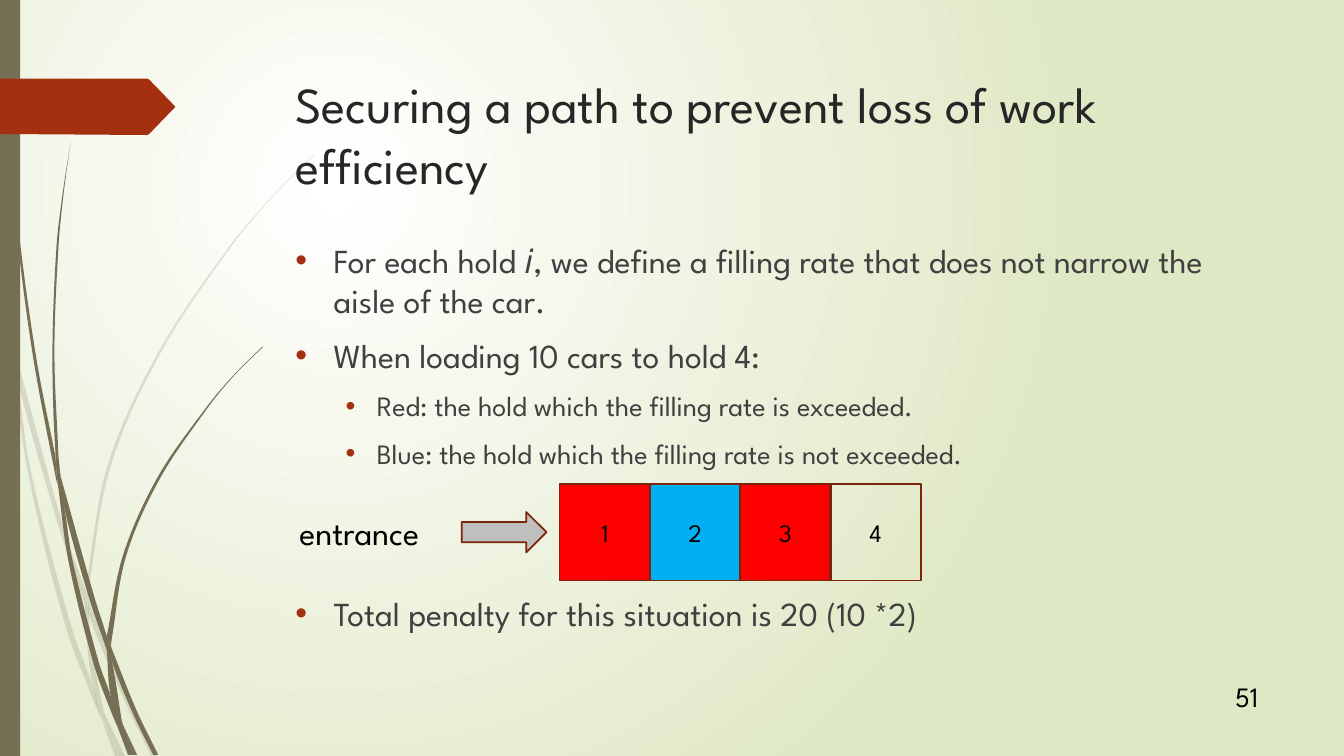
from math import hypot

from pptx import Presentation
from pptx.dml.color import RGBColor
from pptx.enum.shapes import MSO_SHAPE
from pptx.enum.text import MSO_ANCHOR, PP_ALIGN
from pptx.oxml import parse_xml
from pptx.oxml.ns import nsdecls
from pptx.util import Inches, Pt

RECTANGLE, RIGHT_ARROW = MSO_SHAPE.RECTANGLE, MSO_SHAPE.RIGHT_ARROW
TOP, MIDDLE = MSO_ANCHOR.TOP, MSO_ANCHOR.MIDDLE
LEFT, CENTER, RIGHT = PP_ALIGN.LEFT, PP_ALIGN.CENTER, PP_ALIGN.RIGHT

FONT = "League Spartan"
OLIVE, RUST, OUTLINE = "766F54", "A53010", "7A240C"
BLACK, TITLE_GREY, BODY_GREY = "000000", "262626", "404040"

# Each piece of grass has one edge running down and one running back up.
PALE_GRASS = [
    ([(0, 2.82), (0.09, 3.22), (0.11, 3.5)], [(0.1, 3.44), (0, 2.99)]),
    ([(0.14, 3.45), (0.17, 3.76), (0.58, 5.22), (0.84, 5.99)], [(0.85, 5.86), (0.62, 5.2), (0.14, 3.45)]),
    ([(0.88, 5.96), (0.88, 6.1), (1.23, 6.94), (1.5, 7.5)], [(1.55, 7.5), (1.27, 6.92), (0.92, 6.07), (0.88, 5.96)]),
    ([(1.05, 7.11), (1.19, 7.5)], [(1.24, 7.5), (1.05, 7.11)]),
    ([(0.11, 3.5), (0.28, 4.7), (0.65, 6.21), (0.92, 6.93), (1.01, 7.14)],
     [(0.99, 7.07), (0.93, 6.83), (0.7, 6.19), (0.31, 4.69), (0.17, 3.76), (0.11, 3.5)]),
    ([(0.84, 5.99), (0.87, 6.46), (0.93, 6.83), (1.05, 7.11)], [(1.03, 7.06), (0.91, 6.46), (0.88, 6.1), (0.84, 5.99)]),
    ([(3.12, 1.53), (2.89, 1.75), (2.68, 1.97), (2.28, 2.44), (1.58, 3.48), (1.07, 4.61), (0.85, 5.84)],
     [(0.88, 5.96), (0.88, 5.84), (1.1, 4.62), (1.6, 3.49), (2.29, 2.45), (2.68, 1.98), (2.9, 1.75), (3.12, 1.54)]),
    ([(1.01, 7.14), (1.14, 7.5)], [(1.19, 7.5), (1.01, 7.14)]),
    ([(0.85, 5.86), (0.84, 5.99), (0.88, 6.1)], [(0.88, 5.96), (0.85, 5.86)]),
    ([(0.93, 6.83), (0.99, 7.07), (1.19, 7.5)], [(1.05, 7.11), (0.96, 6.92), (0.93, 6.83)]),
]
DARK_GRASS = [
    ([(0.03, 0), (0.07, 1.1), (0.17, 2.33), (0.33, 3.55), (0.56, 4.77), (0.57, 4.81)],
     [(0.55, 4.53), (0.36, 3.55), (0.19, 2.32), (0.08, 1.09), (0.05, 0.48), (0.04, 0)]),
    ([(0.6, 4.72), (0.64, 5.05), (0.88, 5.92), (1.06, 6.45)], [(1.06, 6.31), (0.93, 5.9), (0.6, 4.72)]),
    ([(1.1, 6.41), (1.11, 6.56), (1.32, 7.08), (1.52, 7.49)], [(1.57, 7.49), (1.36, 7.06), (1.13, 6.49), (1.1, 6.41)]),
    ([(0.57, 4.77), (0.68, 5.57), (0.93, 6.59), (1.11, 7.08), (1.17, 7.22)],
     [(1.16, 7.17), (1.1, 6.91), (0.98, 6.57), (0.72, 5.56), (0.64, 5.05), (0.57, 4.77)]),
    ([(0.7, 1.41), (0.62, 1.93), (0.56, 2.45), (0.52, 3.49), (0.55, 4.49), (0.6, 4.72)],
     [(0.58, 4.53), (0.54, 3.49), (0.58, 2.45), (0.63, 1.93), (0.7, 1.41)]),
    ([(1.22, 7.19), (1.33, 7.49)], [(1.36, 7.49), (1.22, 7.19)]),
    ([(0.55, 4.49), (0.57, 4.77), (0.64, 5.05)], [(0.6, 4.72), (0.55, 4.49)]),
    ([(2.6, 3.44), (2.31, 3.73), (2.04, 4.05), (1.56, 4.74), (1.22, 5.51), (1.06, 6.31)],
     [(1.1, 6.41), (1.11, 6.33), (1.25, 5.52), (1.58, 4.76), (2.05, 4.06), (2.31, 3.74), (2.61, 3.44)]),
    ([(1.17, 7.22), (1.27, 7.49)], [(1.31, 7.49), (1.17, 7.22)]),
    ([(1.06, 6.45), (1.1, 6.91), (1.22, 7.19)], [(1.21, 7.16), (1.11, 6.56), (1.06, 6.45)]),
    ([(1.06, 6.31), (1.06, 6.45), (1.11, 6.56)], [(1.1, 6.41), (1.06, 6.31)]),
    ([(1.1, 6.91), (1.17, 7.22), (1.3, 7.49)], [(1.33, 7.49), (1.22, 7.19), (1.1, 6.91)]),
]
BANNER = [(0, 0.78), (1.46, 0.78), (1.48, 0.79), (1.74, 1.06), (1.48, 1.33), (1.46, 1.34), (0, 1.33)]

# Text, level, size and space before
BULLETS = [
    ("For each hold 𝑖, we define a filling rate that does not narrow the aisle of the car.", 0, 24, 0),
    ("When loading 10 cars to hold 4:", 0, 24, 10),
    ("Red: the hold which the filling rate is exceeded.", 1, 20, 10),
    ("Blue: the hold which the filling rate is not exceeded.", 1, 20, 10),
    ("Total penalty for this situation is 20 (10 *2)", 0, 24, 88),
]
INDENTS = [(0.38, -0.38), (0.81, -0.31)]
HOLDS = [("1", "FF0000"), ("2", "00B0F0"), ("3", "FF0000"), ("4", None)]


def color(hex_string):
    return RGBColor.from_string(hex_string)


def style_shape(shape, fill, line=None):
    shape.shadow.inherit = False
    if fill:
        shape.fill.solid()
        shape.fill.fore_color.rgb = color(fill)
    else:
        shape.fill.background()
    if line:
        shape.line.color.rgb = color(line)
        shape.line.width = Pt(1.25)
    else:
        shape.line.fill.background()


def style_paragraph(paragraph, size, font_color, alignment=LEFT):
    paragraph.alignment = alignment
    for run in paragraph.runs:
        run.font.name = FONT
        run.font.size = Pt(size)
        run.font.color.rgb = color(font_color)


def set_text(shape, text, size, font_color=BLACK, alignment=LEFT, anchor=TOP):
    frame = shape.text_frame
    frame.word_wrap = True
    frame.vertical_anchor = anchor
    frame.text = text
    style_paragraph(frame.paragraphs[0], size, font_color, alignment)


def add_label(slide, box, text, size, alignment=LEFT, anchor=TOP):
    label = slide.shapes.add_textbox(*map(Inches, box))
    set_text(label, text, size, alignment=alignment, anchor=anchor)


def add_preset(slide, kind, box, fill, line=None):
    shape = slide.shapes.add_shape(kind, *map(Inches, box))
    style_shape(shape, fill, line)
    return shape


def curve_through(points):
    """Return two control points and an end point for each step of a smooth curve."""
    headings = []
    for index in range(len(points)):
        (x1, y1), (x2, y2) = points[max(index - 1, 0)], points[min(index + 1, len(points) - 1)]
        length = hypot(x2 - x1, y2 - y1)
        headings.append(((x2 - x1) / length, (y2 - y1) / length))
    curve = []
    for (x1, y1), (x2, y2), (u1, v1), (u2, v2) in zip(points, points[1:], headings, headings[1:]):
        reach = hypot(x2 - x1, y2 - y1) / 3
        curve += [(x1 + u1 * reach, y1 + v1 * reach), (x2 - u2 * reach, y2 - v2 * reach), (x2, y2)]
    return curve


def add_outline(slide, points, fill):
    corners = [(Inches(x), Inches(y)) for x, y in points]
    builder = slide.shapes.build_freeform(*corners[0])
    builder.add_line_segments(corners[1:], close=True)
    shape = builder.convert_to_shape()
    style_shape(shape, fill)
    return shape


def add_grass(slide, down, up, opacity):
    points = down[:1] + curve_through(down) + curve_through([down[-1], up[0]]) + curve_through(up)
    properties = add_outline(slide, points, OLIVE).element.spPr
    lines = properties.findall(".//{*}lnTo")
    for first in range(0, len(points) - 1, 3):
        bezier = parse_xml(f'<a:cubicBezTo {nsdecls("a")}/>')
        lines[first].addprevious(bezier)
        for line in lines[first:first + 3]:
            bezier.append(line[0])
            line.getparent().remove(line)
    alpha = parse_xml(f'<a:alpha {nsdecls("a")} val="{opacity * 1000}"/>')
    properties.find("{*}solidFill/{*}srgbClr").append(alpha)


def add_background(slide):
    slide.element.cSld.insert(0, parse_xml(
        f'<p:bg {nsdecls("p", "a")}><p:bgPr><a:gradFill rotWithShape="1"><a:gsLst>'
        '<a:gs pos="0"><a:srgbClr val="FFFFFF"/></a:gs>'
        '<a:gs pos="100000"><a:srgbClr val="DFE8C4"/></a:gs></a:gsLst>'
        '<a:path path="circle"><a:fillToRect l="50000" t="50000" r="100000" b="100000"/>'
        '</a:path></a:gradFill><a:effectLst/></p:bgPr></p:bg>'))


def add_bullets(slide):
    frame = slide.shapes.add_textbox(*map(Inches, (2.83, 2.33, 9.75, 4.13))).text_frame
    frame.word_wrap = True
    for index, (text, level, size, space_before) in enumerate(BULLETS):
        paragraph = frame.add_paragraph() if index else frame.paragraphs[0]
        paragraph.text = text
        paragraph.level = level
        paragraph.space_before = Pt(space_before)
        properties = paragraph._p.get_or_add_pPr()
        for name, length in zip(("marL", "indent"), INDENTS[level]):
            properties.set(name, str(Inches(length)))
        for bullet in (f'<a:buClr {nsdecls("a")}><a:srgbClr val="{RUST}"/></a:buClr>',
                       f'<a:buFont {nsdecls("a")} typeface="Arial"/>',
                       f'<a:buChar {nsdecls("a")} char="•"/>'):
            properties.append(parse_xml(bullet))
        style_paragraph(paragraph, size, BODY_GREY)


def main():
    presentation = Presentation()
    presentation.slide_width, presentation.slide_height = Inches(13.33), Inches(7.5)
    slide = presentation.slides.add_slide(presentation.slide_layouts[5])
    add_background(slide)
    for grass, opacity in ((PALE_GRASS, 20), (DARK_GRASS, 100)):
        for down, up in grass:
            add_grass(slide, down, up, opacity)
    add_preset(slide, RECTANGLE, (0, 0, 0.2, 7.5), OLIVE)
    add_outline(slide, BANNER, RUST)
    title = slide.shapes.title
    title.left, title.top, title.width, title.height = map(Inches, (2.83, 0.68, 9.75, 1.4))
    set_text(title, "Securing a path to prevent loss of work efficiency", 36, TITLE_GREY)
    add_bullets(slide)
    add_label(slide, (2.87, 5.03, 1.71, 0.5), "entrance", 24)
    add_preset(slide, RIGHT_ARROW, (4.58, 5.08, 0.84, 0.4), "BFBFBF", OUTLINE)
    for index, (number, fill) in enumerate(HOLDS):
        hold = add_preset(slide, RECTANGLE, (5.55 + index * 0.895, 4.8, 0.9, 0.96), fill, OUTLINE)
        set_text(hold, number, 18, alignment=CENTER, anchor=MIDDLE)
    add_label(slide, (11.73, 6.71, 0.85, 0.4), "51", 20, RIGHT, MIDDLE)
    presentation.save("out.pptx")


if __name__ == "__main__":
    main()
